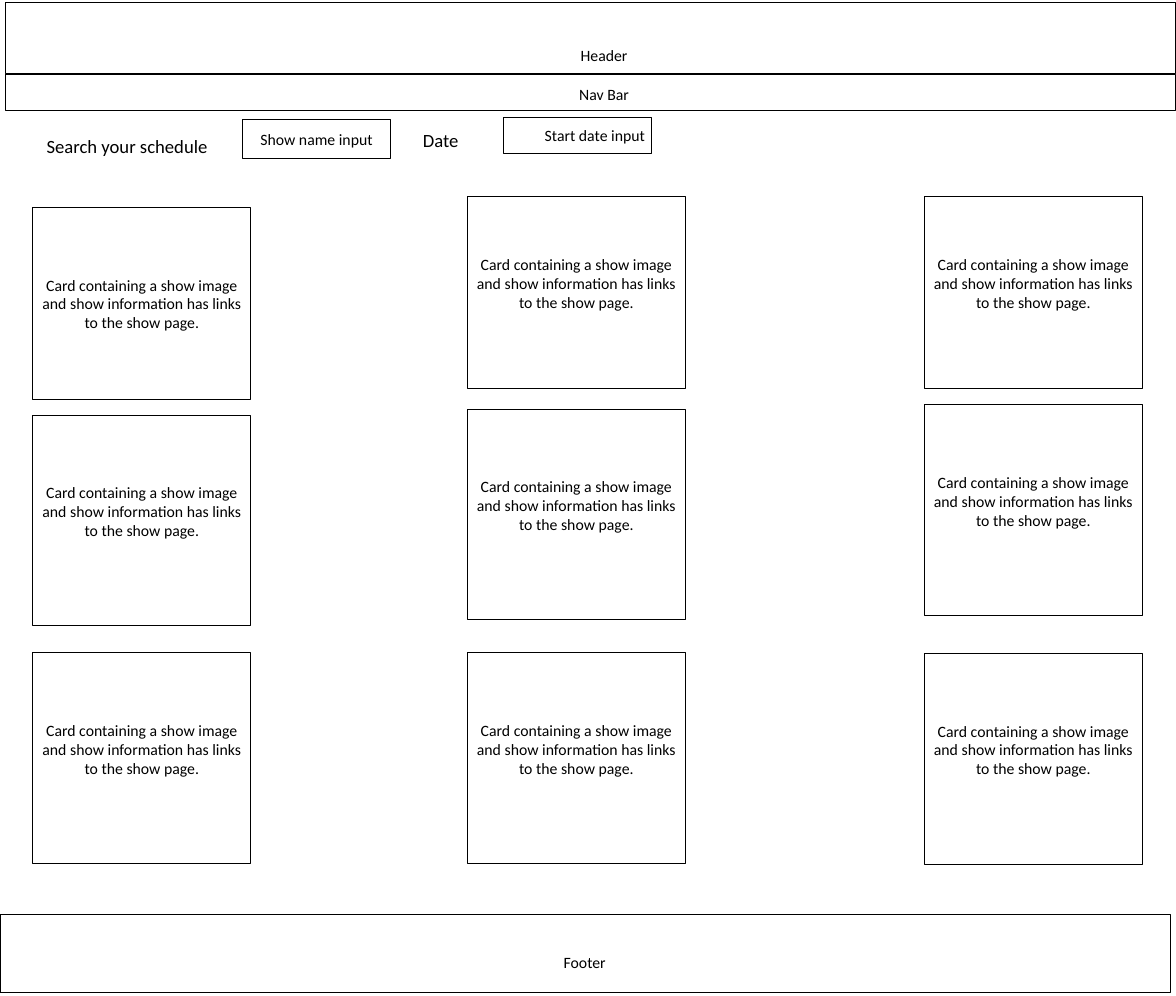
from pptx import Presentation
from pptx.dml.color import RGBColor
from pptx.enum.shapes import MSO_SHAPE
from pptx.enum.text import MSO_ANCHOR, PP_ALIGN
from pptx.util import Inches, Pt

RECTANGLE = MSO_SHAPE.RECTANGLE
MIDDLE, TOP = MSO_ANCHOR.MIDDLE, MSO_ANCHOR.TOP
CENTER, RIGHT = PP_ALIGN.CENTER, PP_ALIGN.RIGHT
BLACK = RGBColor(0, 0, 0)
BODY_SIZE, LABEL_SIZE = 15.2, 18
CARD_TEXT = "Card containing a show image and show information has links to the show page."

prs = Presentation()
prs.slide_width, prs.slide_height = Inches(15.75), Inches(40 / 3)
slide = prs.slides.add_slide(prs.slide_layouts[6])


def add_box(left, top, width, height):
    box = slide.shapes.add_shape(
        RECTANGLE, Inches(left), Inches(top), Inches(width), Inches(height))
    box.shadow.inherit = False
    box.fill.background()
    box.line.color.rgb = BLACK
    box.line.width = Pt(1)
    return box


def write(target, text, size=BODY_SIZE, align=CENTER, anchor=MIDDLE, wrap=True):
    frame = target.text_frame
    frame.word_wrap = wrap
    frame.vertical_anchor = anchor
    paragraph = frame.paragraphs[0]
    paragraph.alignment = align
    run = paragraph.add_run()
    run.text = text
    run.font.name = "Calibri"
    run.font.size = Pt(size)
    run.font.color.rgb = BLACK
    return frame


for left, top, height in [(0.07, 0.04, 0.94), (0.07, 1, 0.48), (0, 12.24, 1.05)]:
    add_box(left, top, 15.68, height)

labels = [
    ("Header ", 5.63, 0.57, 4.97, 0.36, BODY_SIZE, True),
    ("Nav Bar ", 5.63, 1.09, 4.97, 0.36, BODY_SIZE, True),
    ("Footer ", 5.37, 12.71, 4.97, 0.36, BODY_SIZE, True),
    ("Search your schedule ", 0.51, 1.76, 2.44, 0.4, LABEL_SIZE, False),
    ("Date ", 5.56, 1.67, 0.74, 0.4, LABEL_SIZE, False),
]
for text, left, top, width, height, size, wrap in labels:
    label = slide.shapes.add_textbox(
        Inches(left), Inches(top), Inches(width), Inches(height))
    write(label, text, size, anchor=TOP, wrap=wrap)

search_inputs = [
    ("Show name input", 3.25, 1.6, 0.52, CENTER),
    ("Start date input", 6.74, 1.57, 0.48, RIGHT),
]
for text, left, top, height, align in search_inputs:
    frame = write(add_box(left, top, 1.98, height), text, align=align)
    frame.margin_left = frame.margin_right = Inches(0.08)
    frame.margin_top = frame.margin_bottom = Inches(0.04)

card_columns = [
    (0.44, (2.78, 5.56, 8.74)),
    (6.26, (2.63, 5.48, 8.74)),
    (12.38, (2.63, 5.42, 8.75)),
]
card_heights = (2.57, 2.82, 2.82)
for column, (left, tops) in enumerate(card_columns):
    for row, (top, height) in enumerate(zip(tops, card_heights)):
        frame = write(add_box(left, top, 2.92, height), CARD_TEXT)
        frame.margin_left = frame.margin_right = Inches(0.08)
        frame.margin_top = Inches(0.04)
        frame.margin_bottom = Inches(0.04 if column == row == 0 else 0.29)

prs.save("out.pptx")
